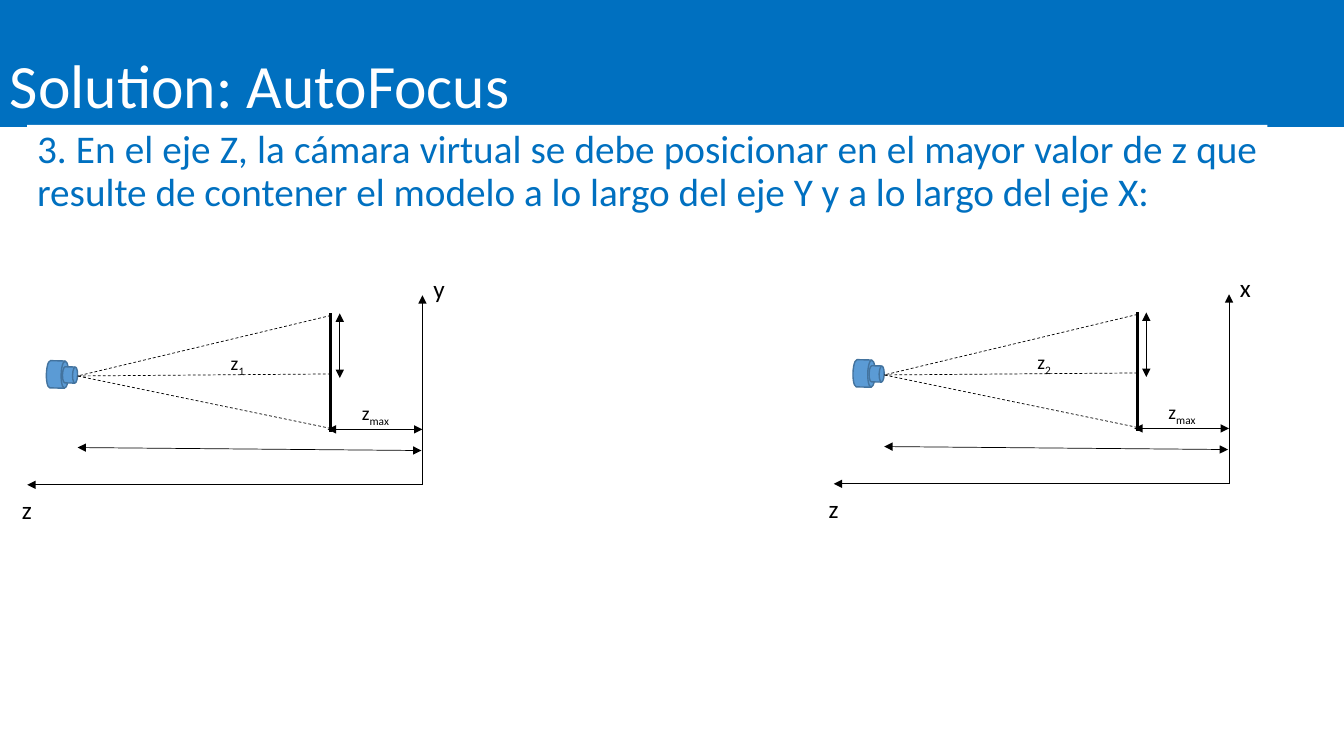
from lxml import etree
from pptx import Presentation
from pptx import util as u
from pptx.dml.color import RGBColor
from pptx.enum import dml, shapes, text
from pptx.oxml import ns

COLORS = {"blue": "0070C0", "white": "FFFFFF", "black": "000000",
          "camera": "5B9BD5", "camera_edge": "43739E"}


class Board:
    font = "Calibri"

    def __init__(self, slide):
        self.slide = slide

    def color(self, name):
        return RGBColor.from_string(COLORS[name])

    def style(self, p, size, color):
        p.font.name = self.font
        p.font.size = u.Pt(size)
        p.font.color.rgb = self.color(color)

    def panel(self, x, y, w, h, content, size, fill, color, anchor, align):
        sp = self.slide.shapes.add_shape(
            shapes.MSO_SHAPE.RECTANGLE, *map(u.Inches, (x, y, w, h)))
        sp.shadow.inherit = False
        sp.fill.solid()
        sp.fill.fore_color.rgb = self.color(fill)
        sp.line.fill.background()
        tf = sp.text_frame
        tf.word_wrap = True
        tf.vertical_anchor = anchor
        p = tf.paragraphs[0]
        p.text = content
        p.alignment = align
        p.line_spacing = 0.9
        self.style(p, size, color)

    def label(self, x, y, w, h, size, base, subscript=""):
        tf = self.slide.shapes.add_textbox(*map(u.Inches, (x, y, w, h))).text_frame
        tf.word_wrap = False
        tf.auto_size = text.MSO_AUTO_SIZE.SHAPE_TO_FIT_TEXT
        p = tf.paragraphs[0]
        p.add_run().text = base
        if subscript:
            r = p.add_run()
            r.text = subscript
            r.font._element.set("baseline", "-25000")
        self.style(p, size, "black")

    def line(self, x1, y1, x2, y2, width=0.5, dashed=False, arrows=()):
        """Draw a line; arrows lists the ends to point: headEnd, tailEnd."""
        c = self.slide.shapes.add_connector(
            shapes.MSO_CONNECTOR.STRAIGHT, *map(u.Inches, (x1, y1, x2, y2)))
        c.line.color.rgb = self.color("black")
        c.line.width = u.Pt(width)
        if dashed:
            c.line.dash_style = dml.MSO_LINE.DASH
        ln = c.line._get_or_add_ln()
        for end in arrows:
            etree.SubElement(ln, ns.qn(f"a:{end}"), type="triangle")
        etree.SubElement(c._element.spPr, ns.qn("a:effectLst"))

    def camera(self, x, y):
        group = self.slide.shapes.add_group_shape()
        for dx, dy, w, h in ((0, 0, 0.22, 0.27), (0.16, 0.06, 0.15, 0.16)):
            sp = group.shapes.add_shape(
                shapes.MSO_SHAPE.FLOWCHART_DIRECT_ACCESS_STORAGE,
                *map(u.Inches, (x + dx, y + dy, w, h)))
            sp.rotation = 1.5
            sp.shadow.inherit = False
            sp.fill.solid()
            sp.fill.fore_color.rgb = self.color("camera")
            sp.line.color.rgb = self.color("camera_edge")
            sp.line.width = u.Pt(1)

    def diagram(self, x, y, axis, index):
        """Camera view of the model against one axis, offset by x and y."""
        def line(x1, y1, x2, y2, **options):
            self.line(x + x1, y + y1, x + x2, y + y2, **options)

        one, both = ("headEnd",), ("headEnd", "tailEnd")
        line(4.19, 2.93, 4.19, 4.81, arrows=one)
        line(0.27, 4.81, 4.2, 4.81, arrows=one)
        self.camera(x + 0.46, y + 3.58)
        line(3.28, 3.11, 3.28, 4.29, width=2)
        for model_y in (3.13, 3.71, 4.25):
            line(3.28, model_y, 0.77, 3.73, dashed=True)
        line(4.19, 4.26, 3.25, 4.26, arrows=both)
        line(3.37, 3.75, 3.37, 3.11, arrows=both)
        line(4.18, 4.47, 0.77, 4.44, arrows=both)
        self.label(x + 4.2, y + 2.66, 0.32, 0.4, 18, axis)
        self.label(x + 0.12, y + 4.85, 0.3, 0.4, 18, "z")
        self.label(x + 3.49, y + 3.93, 0.5, 0.34, 14, "z", "max")
        self.label(x + 2.19, y + 3.43, 0.35, 0.34, 14, "z", index)


def main():
    prs = Presentation()
    prs.slide_width, prs.slide_height = u.Inches(13.33), u.Inches(7.5)
    board = Board(prs.slides.add_slide(prs.slide_layouts[6]))
    board.panel(0, 0, 13.33, 1.26, "Solution: AutoFocus", 44, "blue", "white",
                text.MSO_ANCHOR.BOTTOM, text.PP_ALIGN.LEFT)
    board.panel(0.27, 1.24, 12.3, 3.44,
                "3. En el eje Z, la cámara virtual se debe posicionar en el mayor "
                "valor de z que resulte de contener el modelo a lo largo del eje Y "
                "y a lo largo del eje X:", 28, "white", "blue",
                text.MSO_ANCHOR.TOP, text.PP_ALIGN.JUSTIFY)
    board.diagram(0, 0, "y", "1")
    board.diagram(8, -0.01, "x", "2")
    prs.save("out.pptx")


if __name__ == "__main__":
    main()
